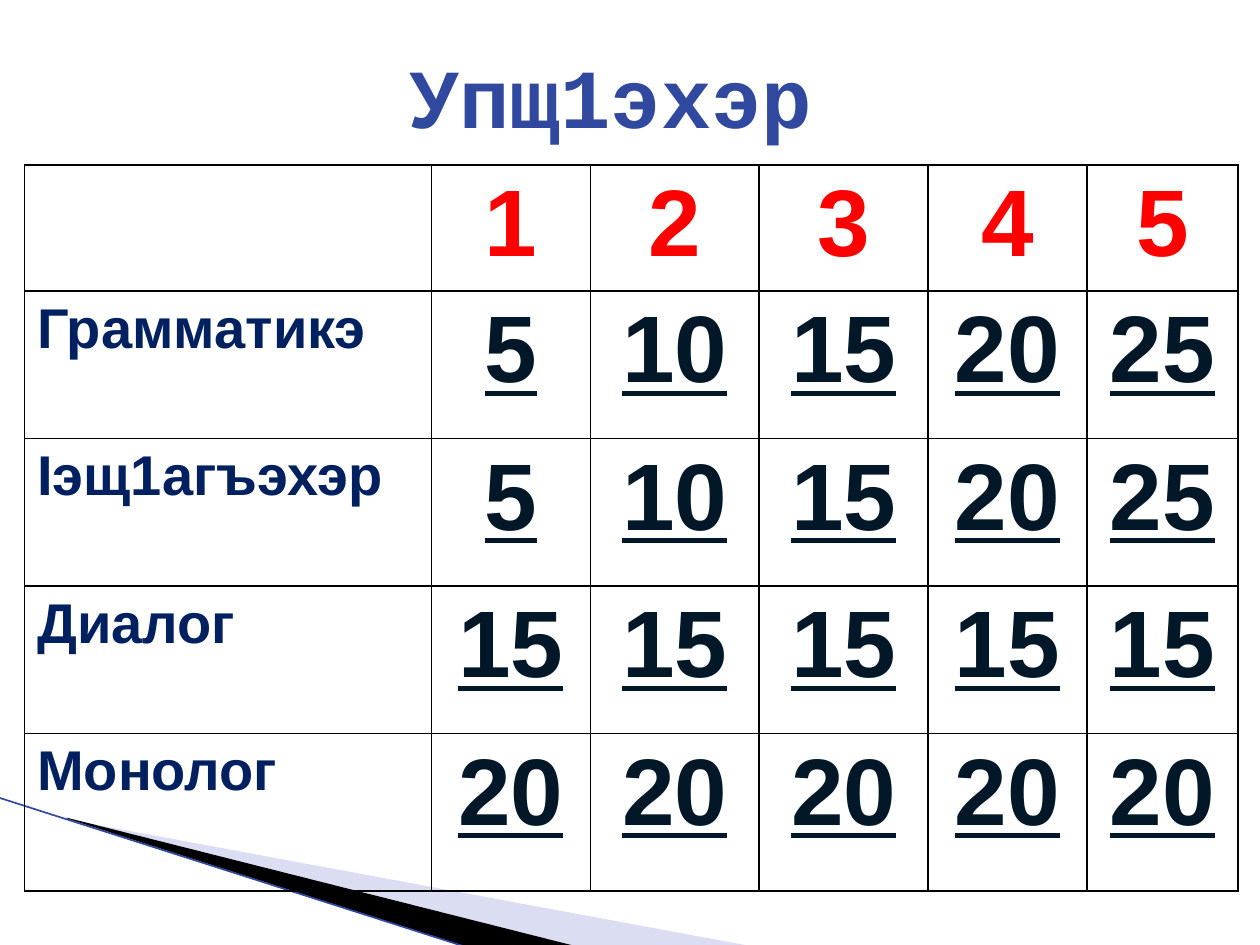
from lxml import etree
from pptx import Presentation
from pptx.dml.color import RGBColor
from pptx.enum.shapes import MSO_CONNECTOR
from pptx.enum.text import MSO_ANCHOR, PP_ALIGN
from pptx.oxml import parse_xml
from pptx.oxml.ns import nsdecls, qn
from pptx.util import Pt

LEFT, CENTER = PP_ALIGN.LEFT, PP_ALIGN.CENTER
MIDDLE = MSO_ANCHOR.MIDDLE
STRAIGHT = MSO_CONNECTOR.STRAIGHT

TITLE = "Упщ1эхэр"
ROWS = [
    ["", "1", "2", "3", "4", "5"],
    ["Грамматикэ", "5", "10", "15", "20", "25"],
    ["Iэщ1агъэхэр", "5", "10", "15", "20", "25"],
    ["Диалог", "15", "15", "15", "15", "15"],
    ["Монолог", "20", "20", "20", "20", "20"],
]
COL_WIDTHS = [232.5, 90.75, 96.5, 96.5, 90.75, 86.4]
ROW_HEIGHTS = [72, 84.3, 84.3, 84.3, 90]
TABLE_LEFT, TABLE_TOP = 14.1, 94.4

# Corner wedges: points, colour, opacity in percent
WEDGES = [
    ([(39.6, 468.5), (428.4, 540.5), (328.5, 540.5), (39.6, 468)], "A6AEE1", 40),
    ([(38.2, 467.3), (329, 540.7), (267.8, 541.4), (38.9, 468)], "000000", 100),
]
EDGE = [(-0.7, 455.8), (267.1, 541.4)]

TITLE_FORMAT = {"name": "Courier New", "size": Pt(48), "bold": True}
HEADER = {"name": "Arial", "size": Pt(54), "bold": True}
LABEL = {**HEADER, "size": Pt(32)}
SCORE = {**HEADER, "underline": True}


def rgb(value):
    return RGBColor.from_string(value)


def write(tf, text, align, fmt, color):
    p = tf.paragraphs[0]
    p.alignment = align
    r = p.add_run()
    r.text = text
    for name, value in fmt.items():
        setattr(r.font, name, value)
    r.font.color.rgb = rgb(color)


def add_wedge(slide, points, color, opacity):
    start, *rest = [(Pt(x), Pt(y)) for x, y in points]
    builder = slide.shapes.build_freeform(*start)
    builder.add_line_segments(rest, close=True)
    sp = builder.convert_to_shape()
    sp.shadow.inherit = False
    sp.line.fill.background()
    sp.fill.solid()
    sp.fill.fore_color.rgb = rgb(color)
    if opacity < 100:
        clr = sp.fill._xPr.find(qn("a:solidFill"))[0]
        etree.SubElement(clr, qn("a:alpha"), val=str(opacity * 1000))


def add_borders(cell):
    """Draw a 1 pt black line on all four sides of a cell."""
    tcPr = cell._tc.get_or_add_tcPr()
    for i, side in enumerate(("lnL", "lnR", "lnT", "lnB")):
        tcPr.insert(i, parse_xml(
            f'<a:{side} {nsdecls("a")} w="12700"><a:solidFill>'
            f'<a:srgbClr val="000000"/></a:solidFill></a:{side}>'))


def add_score_table(slide):
    frame = slide.shapes.add_table(
        len(ROWS), len(COL_WIDTHS), Pt(TABLE_LEFT), Pt(TABLE_TOP),
        Pt(sum(COL_WIDTHS)), Pt(sum(ROW_HEIGHTS)))
    table = frame.table
    for col, width in zip(table.columns, COL_WIDTHS):
        col.width = Pt(width)
    for row, height in zip(table.rows, ROW_HEIGHTS):
        row.height = Pt(height)
    for i, texts in enumerate(ROWS):
        for j, text in enumerate(texts):
            cell = table.cell(i, j)
            cell.fill.background()
            add_borders(cell)
            if not text:
                continue
            if i == 0:
                style = CENTER, HEADER, "FF0000"
            elif j == 0:
                style = LEFT, LABEL, "002060"
            else:
                style = CENTER, SCORE, "021828"
            write(cell.text_frame, text, *style)


def main():
    prs = Presentation()
    prs.slide_width, prs.slide_height = Pt(720), Pt(540)
    slide = prs.slides.add_slide(prs.slide_layouts[5])

    title = slide.shapes.title
    title.left, title.top, title.width, title.height = Pt(105), Pt(18), Pt(488), Pt(72)
    title.text_frame.vertical_anchor = MIDDLE
    write(title.text_frame, TITLE, CENTER, TITLE_FORMAT, "31489F")

    for wedge in WEDGES:
        add_wedge(slide, *wedge)
    edge = slide.shapes.add_connector(STRAIGHT, *[Pt(v) for point in EDGE for v in point])
    edge.line.color.rgb = rgb("31489F")
    edge.line.width = Pt(0.95)
    etree.SubElement(edge._element.spPr, qn("a:effectLst"))

    add_score_table(slide)
    prs.save("out.pptx")


if __name__ == "__main__":
    main()
